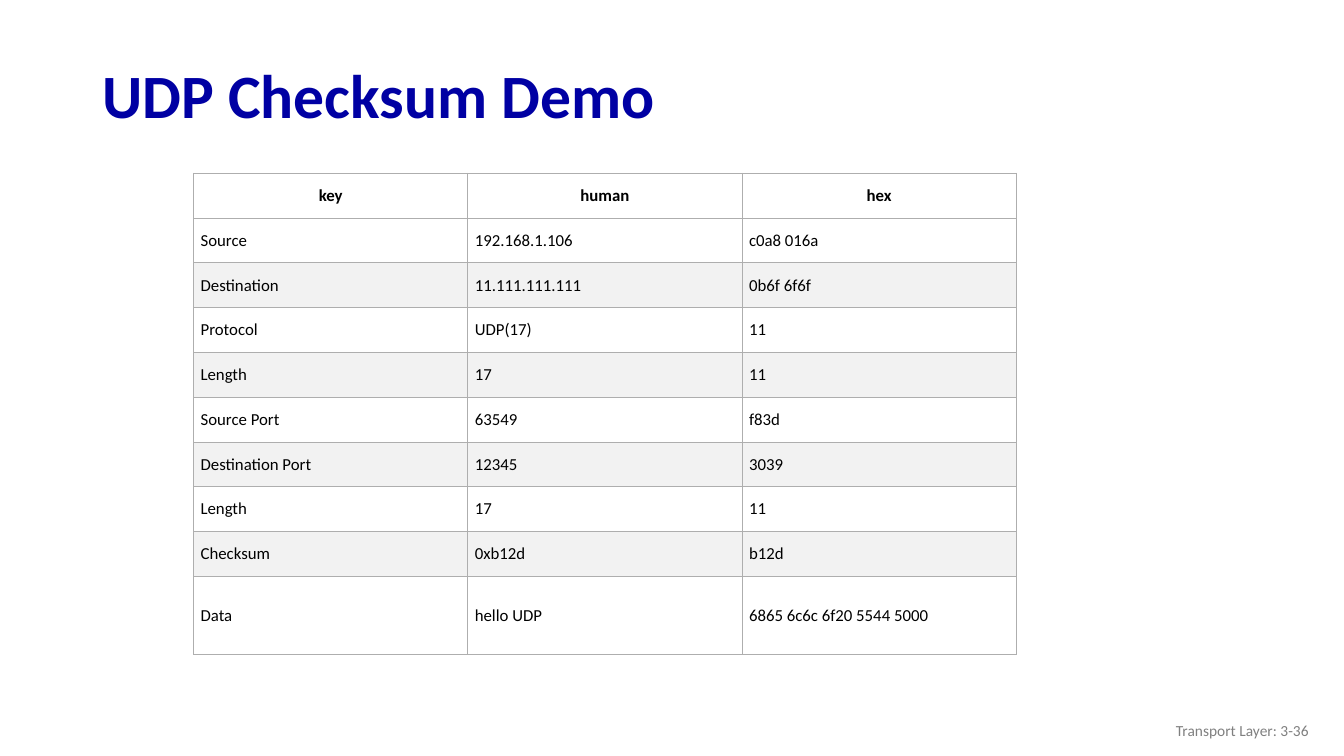
from dataclasses import dataclass

from lxml.etree import SubElement
from pptx import Presentation
from pptx.dml.color import RGBColor
from pptx.enum.text import MSO_ANCHOR, PP_ALIGN
from pptx.oxml.ns import qn
from pptx.util import Inches, Pt


@dataclass(frozen=True)
class Theme:
    font: str = "Calibri"
    title_color: str = "0000A3"
    text_color: str = "000000"
    footer_color: str = "808080"
    border_color: str = "AEAEAE"
    row_color: str = "FFFFFF"
    band_color: str = "F2F2F2"
    title_size: float = 44
    table_size: float = 12
    footer_size: float = 11
    border_width: float = 0.75


THEME = Theme()

HEADER = ("key", "human", "hex")
FIELDS = (
    ("Source", "192.168.1.106", "c0a8 016a"),
    ("Destination", "11.111.111.111", "0b6f 6f6f"),
    ("Protocol", "UDP(17)", "11"),
    ("Length", "17", "11"),
    ("Source Port", "63549", "f83d"),
    ("Destination Port", "12345", "3039"),
    ("Length", "17", "11"),
    ("Checksum", "0xb12d", "b12d"),
    ("Data", "hello UDP", "6865 6c6c 6f20 5544 5000"),
)
TABLE_WIDTH, TABLE_HEIGHT, DATA_ROW_HEIGHT = 8.16, 4.78, 0.78


def write_text(text_frame, text, *, size, color, bold=False,
               align=PP_ALIGN.LEFT, line_spacing=None):
    paragraph = text_frame.paragraphs[0]
    paragraph.alignment = align
    paragraph.line_spacing = line_spacing
    run = paragraph.add_run()
    run.text = text
    run.font.name = THEME.font
    run.font.size = Pt(size)
    run.font.bold = bold
    run.font.color.rgb = RGBColor.from_string(color)


def add_text_box(slide, left, top, width, height, text, **text_format):
    shape = slide.shapes.add_textbox(
        Inches(left), Inches(top), Inches(width), Inches(height))
    text_frame = shape.text_frame
    text_frame.word_wrap = True
    text_frame.vertical_anchor = MSO_ANCHOR.MIDDLE
    write_text(text_frame, text, **text_format)


def set_borders(cell):
    properties = cell._tc.get_or_add_tcPr()
    # Border lines must come before the fill in the cell properties
    for position, side in enumerate(("lnL", "lnR", "lnT", "lnB")):
        line = properties.makeelement(
            qn(f"a:{side}"), {"w": str(Pt(THEME.border_width))})
        fill = SubElement(line, qn("a:solidFill"))
        SubElement(fill, qn("a:srgbClr"), val=THEME.border_color)
        properties.insert(position, line)


def format_cell(cell, text, fill_color, **text_format):
    cell.margin_left = cell.margin_right = Inches(0.07)
    cell.margin_top = cell.margin_bottom = Inches(0.03)
    cell.vertical_anchor = MSO_ANCHOR.MIDDLE
    cell.fill.solid()
    cell.fill.fore_color.rgb = RGBColor.from_string(fill_color)
    set_borders(cell)
    write_text(cell.text_frame, text, size=THEME.table_size,
               color=THEME.text_color, **text_format)


def add_field_table(slide, left, top):
    rows = (HEADER, *FIELDS)
    table = slide.shapes.add_table(
        len(rows), len(HEADER), Inches(left), Inches(top),
        Inches(TABLE_WIDTH), Inches(TABLE_HEIGHT)).table

    # Equal columns and rows, with a taller last row for the data
    for column in table.columns:
        column.width = Inches(TABLE_WIDTH / len(HEADER))
    for row in table.rows:
        row.height = Inches((TABLE_HEIGHT - DATA_ROW_HEIGHT) / len(FIELDS))
    table.rows[len(FIELDS)].height = Inches(DATA_ROW_HEIGHT)

    for row_index, values in enumerate(rows):
        is_header = row_index == 0
        is_band = not is_header and row_index % 2 == 0
        for column_index, value in enumerate(values):
            format_cell(
                table.cell(row_index, column_index), value,
                THEME.band_color if is_band else THEME.row_color,
                bold=is_header,
                align=PP_ALIGN.CENTER if is_header else PP_ALIGN.LEFT)


def main():
    presentation = Presentation()
    presentation.slide_width = Inches(13.33)
    presentation.slide_height = Inches(7.5)
    slide = presentation.slides.add_slide(presentation.slide_layouts[6])

    # Title
    add_text_box(slide, 0.92, 0.49, 11.5, 0.98, "UDP Checksum Demo",
                 size=THEME.title_size, color=THEME.title_color,
                 bold=True, line_spacing=0.9)

    # Header and datagram fields
    add_field_table(slide, 1.92, 1.72)

    # Footer
    add_text_box(slide, 10.08, 7.05, 3, 0.4, "Transport Layer: 3-36",
                 size=THEME.footer_size, color=THEME.footer_color,
                 align=PP_ALIGN.RIGHT)

    presentation.save("out.pptx")


if __name__ == "__main__":
    main()
